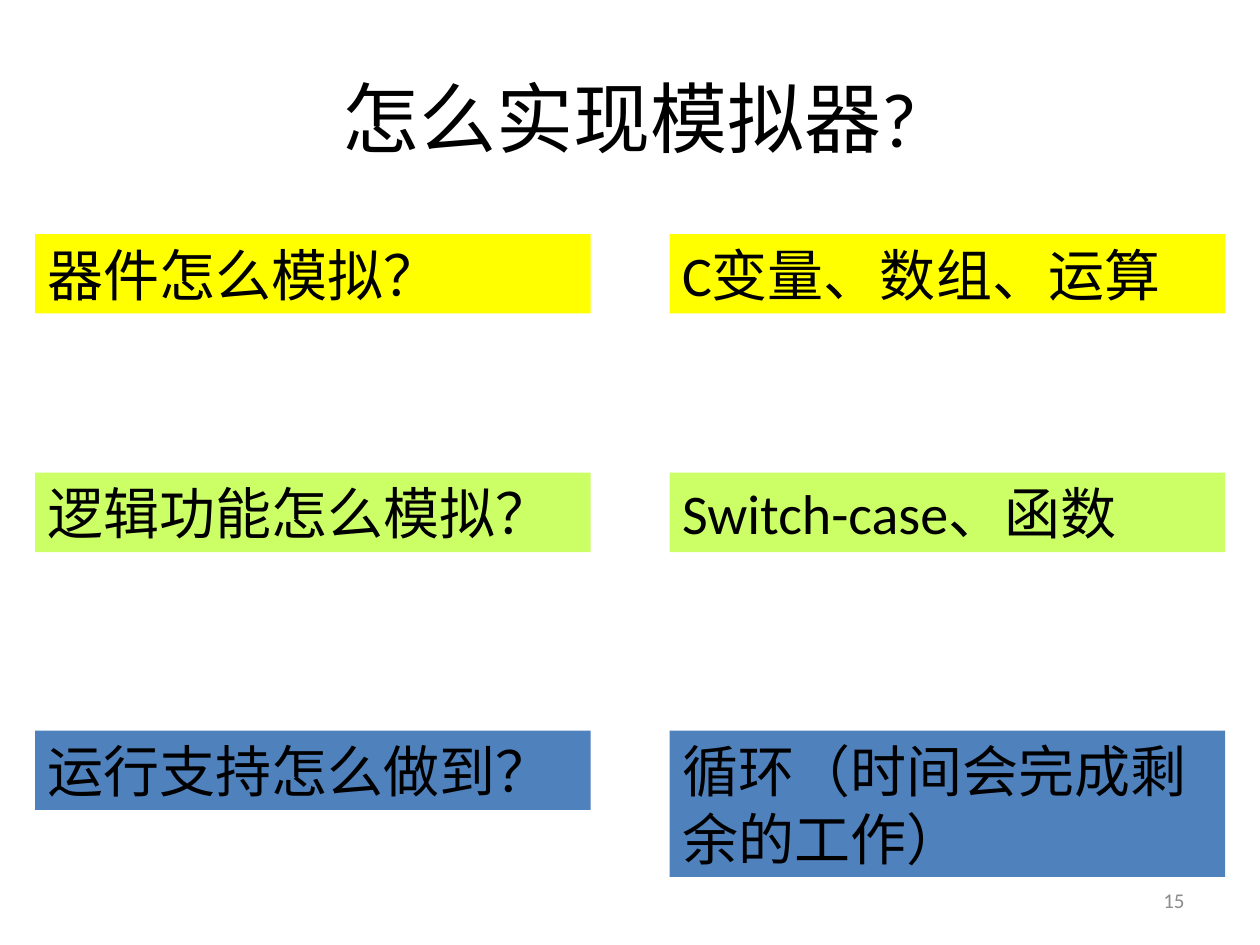
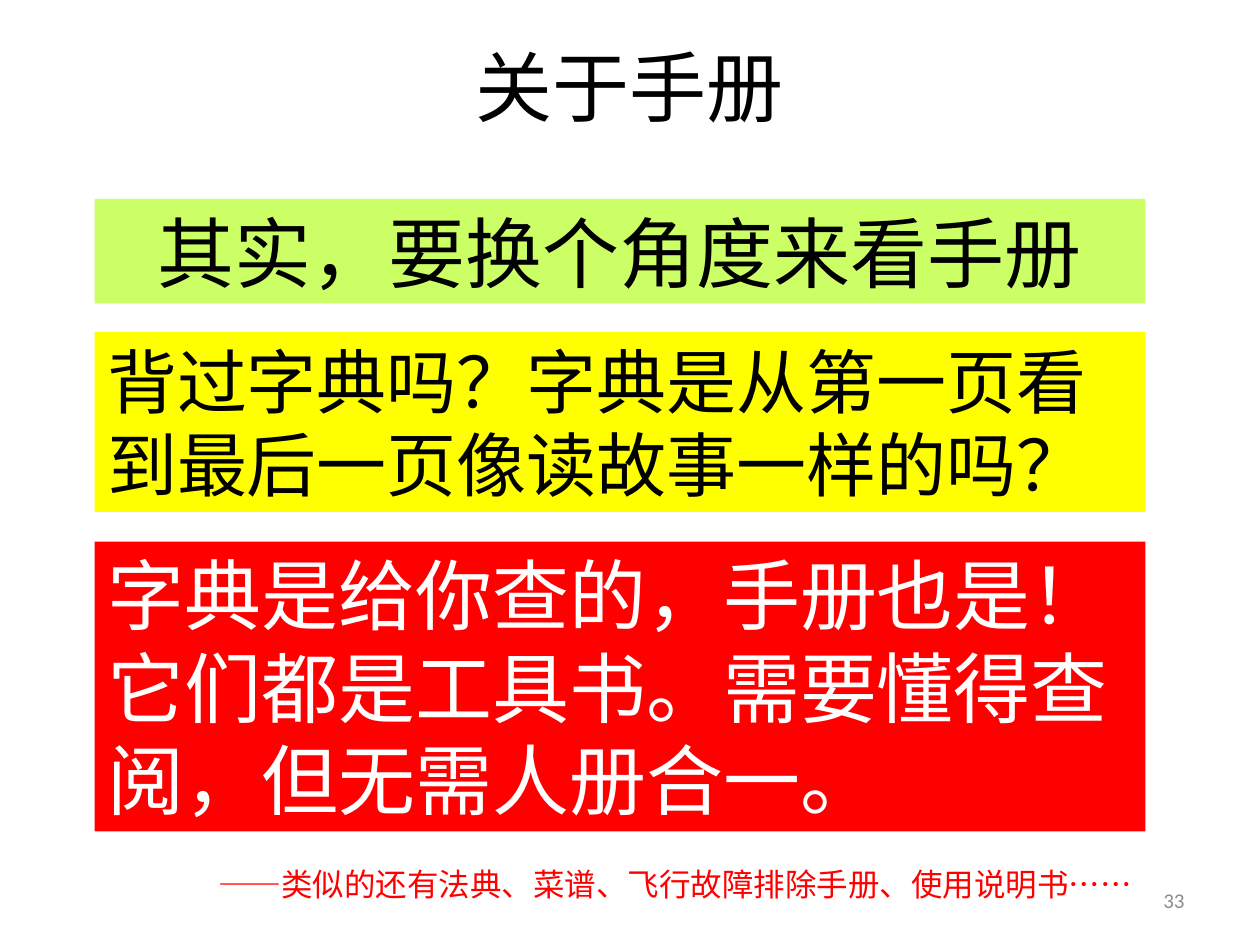
from pptx import Presentation
from pptx.dml.color import RGBColor
from pptx.enum.lang import MSO_LANGUAGE_ID as LANG
from pptx.enum.shapes import MSO_SHAPE as SHAPE
from pptx.enum.text import MSO_ANCHOR as ANCHOR, MSO_AUTO_SIZE as AUTO, PP_ALIGN as ALIGN
from pptx.util import Cm, Pt

FONT = "Calibri"
BLACK = RGBColor(0x00, 0x00, 0x00)
WHITE = RGBColor(0xFF, 0xFF, 0xFF)
GREY = RGBColor(0x8C, 0x8C, 0x8C)
YELLOW = RGBColor(0xFF, 0xFF, 0x00)
LIME = RGBColor(0xCC, 0xFF, 0x66)
BLUE = RGBColor(0x4F, 0x81, 0xBD)
RED = RGBColor(0xFF, 0x00, 0x00)


def write(sp, text, size, color=BLACK, align=ALIGN.LEFT, anchor=ANCHOR.TOP):
    """Put one styled paragraph into a shape."""
    tf = sp.text_frame
    tf.word_wrap = True
    tf.auto_size = AUTO.SHAPE_TO_FIT_TEXT if anchor == ANCHOR.TOP else AUTO.NONE
    tf.vertical_anchor = anchor
    p = tf.paragraphs[0]
    p.alignment = align
    r = p.add_run()
    r.text = text
    r.font.name = FONT
    r.font.size = Pt(size)
    r.font.color.rgb = color
    r.font.language_id = LANG.SIMPLIFIED_CHINESE


def add_text(s, box, text, size, **style):
    """Add a plain text box; box is left, top, width, height in cm."""
    write(s.shapes.add_textbox(*map(Cm, box)), text, size, **style)


def add_band(s, box, fill, text, size, **style):
    """Add a filled rectangle with text; box is in cm."""
    sp = s.shapes.add_shape(SHAPE.RECTANGLE, *map(Cm, box))
    sp.shadow.inherit = False
    sp.fill.solid()
    sp.fill.fore_color.rgb = fill
    sp.line.fill.background()
    write(sp, text, size, **style)


def add_slide(prs, title, title_top, number):
    """Add a blank slide with its title and page number."""
    s = prs.slides.add_slide(prs.slide_layouts[6])
    add_text(s, (1.27, title_top, 22.86, 3.18), title, 44,
             align=ALIGN.CENTER, anchor=ANCHOR.MIDDLE)
    add_text(s, (18.2, 17.65, 5.93, 1.01), str(number), 12,
             color=GREY, align=ALIGN.RIGHT, anchor=ANCHOR.MIDDLE)
    return s


def add_emulator_slide(prs):
    """Pair each question about the emulator with its answer."""
    s = add_slide(prs, "怎么实现模拟器?", 0.76, 15)
    rows = [
        (4.72, 1.6, YELLOW, "器件怎么模拟？", "C变量、数组、运算"),
        (9.53, 1.6, LIME, "逻辑功能怎么模拟？", "Switch-case、函数"),
        (14.73, 2.95, BLUE, "运行支持怎么做到？", "循环（时间会完成剩余的工作）"),
    ]
    for top, answer_height, fill, question, answer in rows:
        add_band(s, (0.71, top, 11.2, 1.6), fill, question, 32)
        add_band(s, (13.5, top, 11.2, answer_height), fill, answer, 32)


def add_manual_slide(prs):
    """Stack the remarks on how to read a manual."""
    s = add_slide(prs, "关于手册", 0.13, 33)
    left, width = 1.91, 21.18
    add_band(s, (left, 4.01, width, 2.11), LIME, "其实，要换个角度来看手册", 44,
             align=ALIGN.CENTER)
    add_band(s, (left, 6.69, width, 3.63), YELLOW,
             "背过字典吗？字典是从第一页看到最后一页像读故事一样的吗？", 40)
    add_band(s, (left, 10.92, width, 5.84), RED,
             "字典是给你查的，手册也是！它们都是工具书。需要懂得查阅，但无需人册合一。", 44,
             color=WHITE)
    add_text(s, (3.15, 17.32, 19.91, 1.02),
             "——类似的还有法典、菜谱、飞行故障排除手册、使用说明书……", 18,
             color=RED, align=ALIGN.RIGHT)


def main():
    """Build and save the slides."""
    prs = Presentation()
    prs.slide_width, prs.slide_height = Cm(25.4), Cm(19.05)
    add_emulator_slide(prs)
    add_manual_slide(prs)
    prs.save("out.pptx")


if __name__ == "__main__":
    main()
